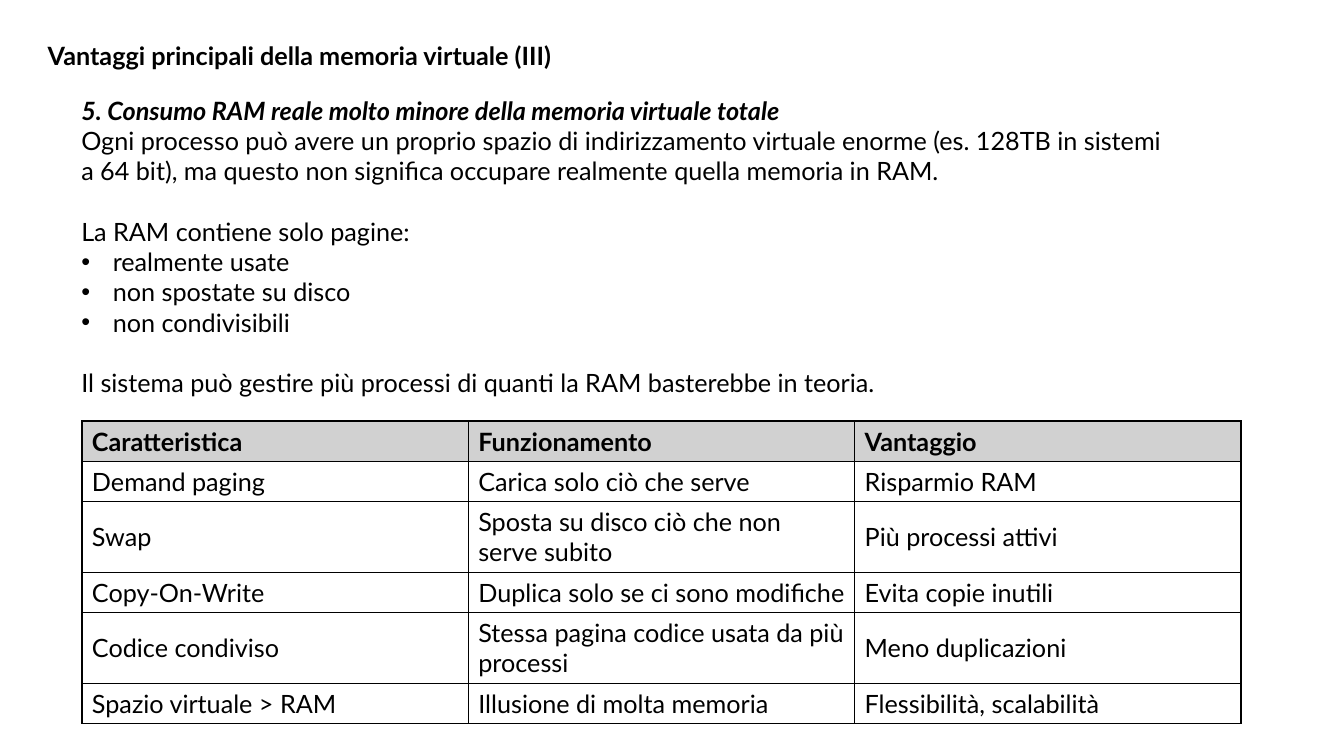
import pptx
import pptx.dml.color
import pptx.enum.text
import pptx.oxml
import pptx.oxml.ns
import pptx.util

TITLE = "Vantaggi principali della memoria virtuale (III)"
HEADING = "5. Consumo RAM reale molto minore della memoria virtuale totale"
# Each entry: text, kind, whether a gap of one line comes before it
BODY = [
    (HEADING, "heading", False),
    ("Ogni processo può avere un proprio spazio di indirizzamento virtuale enorme "
     "(es. 128TB in sistemi a 64 bit), ma questo non significa occupare realmente "
     "quella memoria in RAM.", "plain", False),
    ("La RAM contiene solo pagine:", "plain", True),
    ("realmente usate", "bullet", False),
    ("non spostate su disco", "bullet", False),
    ("non condivisibili", "bullet", False),
    ("Il sistema può gestire più processi di quanti la RAM basterebbe in teoria.",
     "plain", True),
]
FEATURES = [
    ("Caratteristica", "Funzionamento", "Vantaggio"),
    ("Demand paging", "Carica solo ciò che serve", "Risparmio RAM"),
    ("Swap", "Sposta su disco ciò che non serve subito", "Più processi attivi"),
    ("Copy-On-Write", "Duplica solo se ci sono modifiche", "Evita copie inutili"),
    ("Codice condiviso", "Stessa pagina codice usata da più processi",
     "Meno duplicazioni"),
    ("Spazio virtuale > RAM", "Illusione di molta memoria", "Flessibilità, scalabilità"),
]
ROW_HEIGHTS = [38, 38, 67, 38, 67, 38]


def px(n):
    return pptx.util.Emu(n * 9525)


def color(value):
    return pptx.dml.color.RGBColor.from_string(value)


class Deck:
    """Holds the text style and the current slide, and adds elements to it."""

    font, size, ink, header_fill = "Lato", 18, "000000", "D1D1D1"
    line_gap, indent = 21.6, 30

    def __init__(self, width, height):
        self.prs = pptx.Presentation()
        self.prs.slide_width, self.prs.slide_height = px(width), px(height)
        self.s = self.prs.slides.add_slide(self.prs.slide_layouts[6])

    def style(self, p, bold=False, italic=False):
        for r in p.runs:
            r.font.name, r.font.size = self.font, pptx.util.Pt(self.size)
            r.font.bold, r.font.italic = bold, italic
            r.font.color.rgb = color(self.ink)

    def bullet(self, p):
        pPr = p._p.get_or_add_pPr()
        pPr.set("marL", str(px(self.indent)))
        pPr.set("indent", str(-px(self.indent)))
        ns = pptx.oxml.ns.nsdecls("a")
        pPr.append(pptx.oxml.parse_xml(f'<a:buFont {ns} typeface="Arial"/>'))
        pPr.append(pptx.oxml.parse_xml(f'<a:buChar {ns} char="•"/>'))

    def text(self, x, y, w, h, paragraphs):
        tf = self.s.shapes.add_textbox(px(x), px(y), px(w), px(h)).text_frame
        tf.word_wrap = True
        tf.auto_size = pptx.enum.text.MSO_AUTO_SIZE.SHAPE_TO_FIT_TEXT
        tf.text = "\n".join(text for text, _, _ in paragraphs)
        for p, (_, kind, gap) in zip(tf.paragraphs, paragraphs):
            if gap:
                p.space_before = pptx.util.Pt(self.line_gap)
            if kind == "bullet":
                self.bullet(p)
            self.style(p, kind in ("title", "heading"), kind == "heading")

    def borders(self, cell):
        tcPr = cell._tc.get_or_add_tcPr()
        ns = pptx.oxml.ns.nsdecls("a")
        for side in "LRTB":
            tcPr.append(pptx.oxml.parse_xml(
                f'<a:ln{side} {ns} w="{pptx.util.Pt(1)}"><a:solidFill>'
                f'<a:srgbClr val="{self.ink}"/></a:solidFill></a:ln{side}>'))

    def table(self, x, y, w, rows, heights):
        shape = self.s.shapes.add_table(
            len(rows), len(rows[0]), px(x), px(y), px(w), px(sum(heights)))
        table = shape.table
        table.horz_banding = False
        for i, (row, height) in enumerate(zip(rows, heights)):
            table.rows[i].height = px(height)
            for j, text in enumerate(row):
                cell = table.cell(i, j)
                cell.text_frame.text = text
                cell.vertical_anchor = pptx.enum.text.MSO_ANCHOR.MIDDLE
                self.style(cell.text_frame.paragraphs[0], bold=i == 0)
                self.borders(cell)
                if i == 0:
                    cell.fill.solid()
                    cell.fill.fore_color.rgb = color(self.header_fill)
                else:
                    cell.fill.background()


def main():
    deck = Deck(1280, 720)
    deck.text(36, 34, 640, 38, [(TITLE, "title", False)])
    deck.text(68, 86, 1056, 300, BODY)
    deck.table(78, 401, 1104, FEATURES, ROW_HEIGHTS)
    deck.prs.save("out.pptx")


if __name__ == "__main__":
    main()
